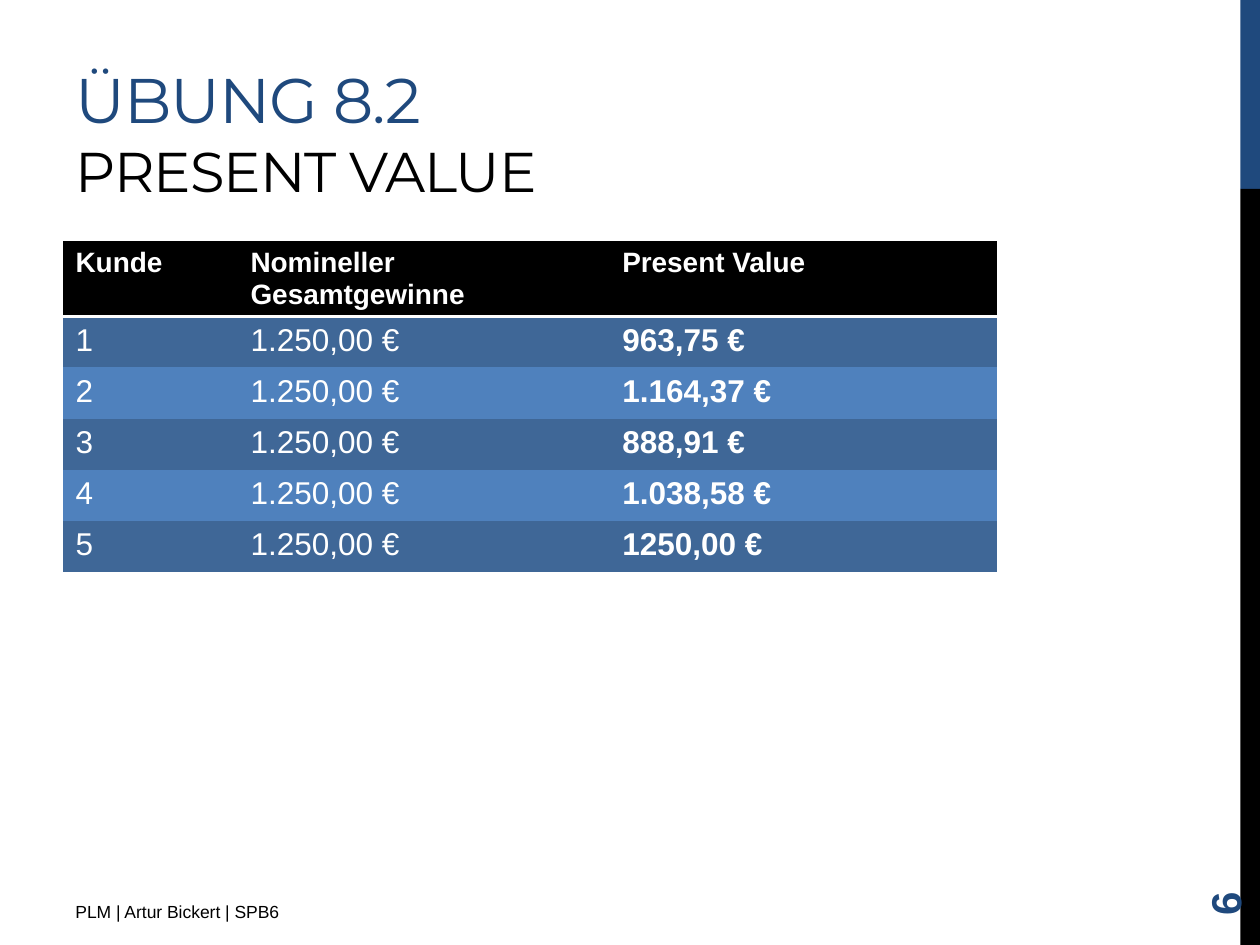
from lxml.etree import SubElement
from pptx import Presentation
from pptx.dml.color import RGBColor as Rgb
from pptx.enum.shapes import MSO_SHAPE as Shape
from pptx.enum.text import MSO_ANCHOR as Anchor, MSO_AUTO_SIZE as AutoSize, PP_ALIGN as Align
from pptx.oxml.ns import qn
from pptx.util import Pt

COLORS = {
    "navy": "1F497D",
    "black": "000000",
    "white": "FFFFFF",
    "dark_row": "3F6797",
    "light_row": "4F81BD",
}
HEADER = ["Kunde", "Nomineller Gesamtgewinne", "Present Value"]
PRESENT_VALUES = ["963,75 €", "1.164,37 €", "888,91 €", "1.038,58 €", "1250,00 €"]
NOMINAL = "1.250,00 €"


def color(name):
    return Rgb.from_string(COLORS[name])


class SlideBuilder:
    """Holds the text style and the current slide."""

    font = "Arial"
    title_font = "Montserrat"

    def __init__(self, page):
        self.page = page

    def style(self, span, size, tint, bold=False, font=None):
        span.font.name = font or self.font
        span.font.size = Pt(size)
        span.font.bold = bold
        span.font.color.rgb = color(tint)

    def bar(self, left, top, width, height, tint):
        box = self.page.shapes.add_shape(
            Shape.RECTANGLE, Pt(left), Pt(top), Pt(width), Pt(height))
        box.shadow.inherit = False
        box.fill.solid()
        box.fill.fore_color.rgb = color(tint)
        box.line.fill.background()

    def title(self, left, top, width, height, lines):
        """Each line is a (text, size, colour) tuple."""
        box = self.page.shapes.title
        box.left, box.top, box.width, box.height = map(Pt, (left, top, width, height))
        frame = box.text_frame
        frame.auto_size = AutoSize.NONE
        frame.vertical_anchor = Anchor.BOTTOM
        frame.text = "\v".join(text for text, _, _ in lines)
        para = frame.paragraphs[0]
        para.alignment = Align.LEFT
        for span, (_, size, tint) in zip(para.runs, lines):
            self.style(span, size, tint, font=self.title_font)
            span._r.get_or_add_rPr().set("spc", "-60")
        for line_break in para._p.findall(qn("a:br")):
            SubElement(line_break, qn("a:rPr"), sz=str(lines[0][1] * 100))

    def text(self, left, top, width, height, text, size, tint,
             bold=False, rotation=0, anchor=Anchor.TOP):
        box = self.page.shapes.add_textbox(Pt(left), Pt(top), Pt(width), Pt(height))
        box.rotation = rotation
        frame = box.text_frame
        frame.word_wrap = True
        frame.vertical_anchor = anchor
        frame.text = text
        self.style(frame.paragraphs[0].runs[0], size, tint, bold)

    def table(self, left, top, widths, row_height, rows):
        """The first row is the header; the last column is bold."""
        table = self.page.shapes.add_table(
            len(rows), len(widths), Pt(left), Pt(top),
            Pt(sum(widths)), Pt(row_height * len(rows))).table
        for column, width in zip(table.columns, widths):
            column.width = Pt(width)
        for r, row in enumerate(rows):
            table.rows[r].height = Pt(row_height)
            is_header = r == 0
            fill = "black" if is_header else ("light_row", "dark_row")[r % 2]
            for c, text in enumerate(row):
                cell = table.cell(r, c)
                cell.text = text
                is_bold = is_header or c == len(row) - 1
                self.style(cell.text_frame.paragraphs[0].runs[0],
                           16 if is_header else 18, "white", is_bold)
                for side in ("lnL", "lnR", "lnT", "lnB"):
                    ruled = (is_header and side == "lnB") or (r == 1 and side == "lnT")
                    self.border(cell, side, 2 if ruled else 0)
                cell.fill.solid()
                cell.fill.fore_color.rgb = color(fill)

    def border(self, cell, side, width):
        """Draw a white cell edge, or none when the width is zero."""
        line = SubElement(cell._tc.get_or_add_tcPr(), qn(f"a:{side}"), w=str(Pt(width)))
        if width:
            fill = SubElement(line, qn("a:solidFill"))
            SubElement(fill, qn("a:srgbClr"), val=COLORS["white"])
        else:
            SubElement(line, qn("a:noFill"))


def main():
    deck = Presentation()
    deck.slide_width, deck.slide_height = Pt(720), Pt(540)
    slide = SlideBuilder(deck.slides.add_slide(deck.slide_layouts[5]))

    slide.bar(708.75, 0, 11.25, 108, "navy")
    slide.bar(708.75, 108, 11.25, 432, "black")
    slide.title(36, 12, 456, 108,
                [("ÜBUNG 8.2", 36, "navy"), ("PRESENT VALUE", 32, "black")])
    customers = [[str(number), NOMINAL, value]
                 for number, value in enumerate(PRESENT_VALUES, start=1)]
    slide.table(36, 138, [100, 212.4, 221.6], 29.2, [HEADER] + customers)
    slide.text(36, 511.2, 270, 22.5, "PLM | Artur Bickert | SPB6", 10, "black")
    slide.text(648, 463.7, 103.7, 28.8, "6", 24, "navy",
               bold=True, rotation=270, anchor=Anchor.MIDDLE)
    deck.save("out.pptx")


if __name__ == "__main__":
    main()
